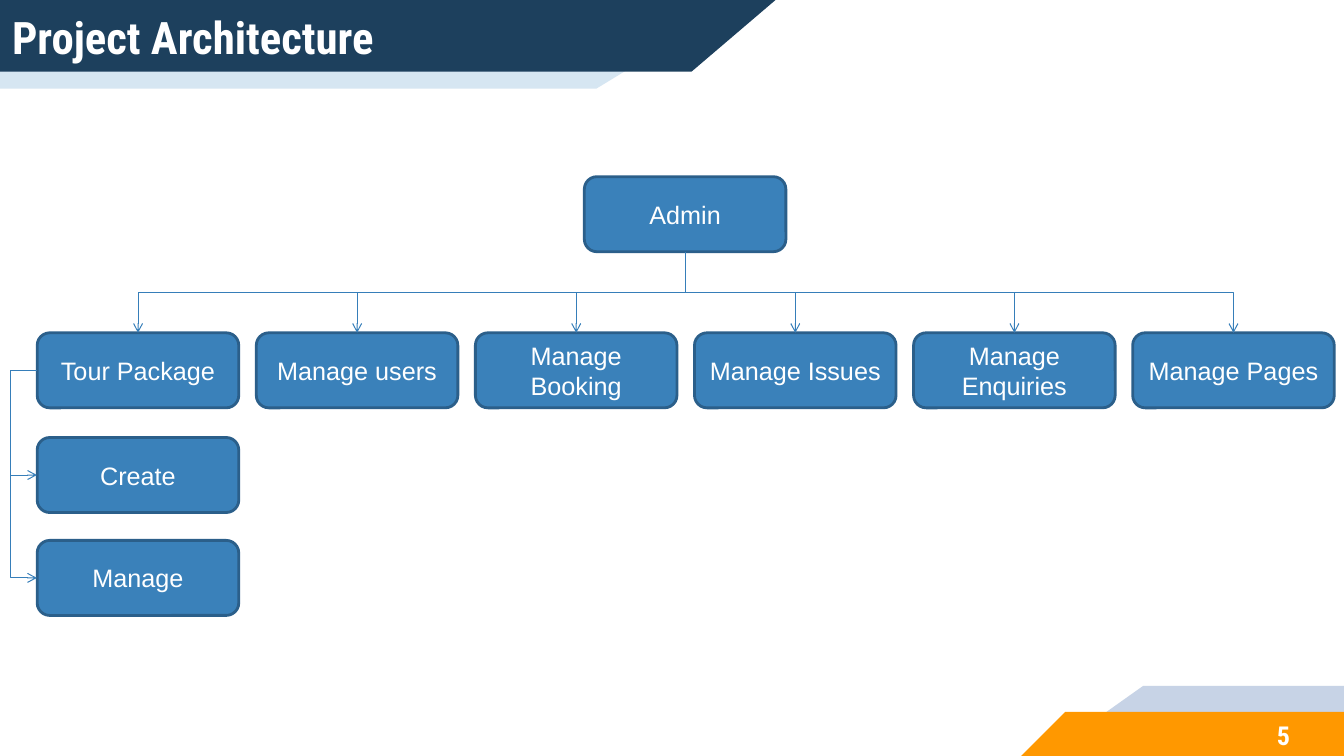
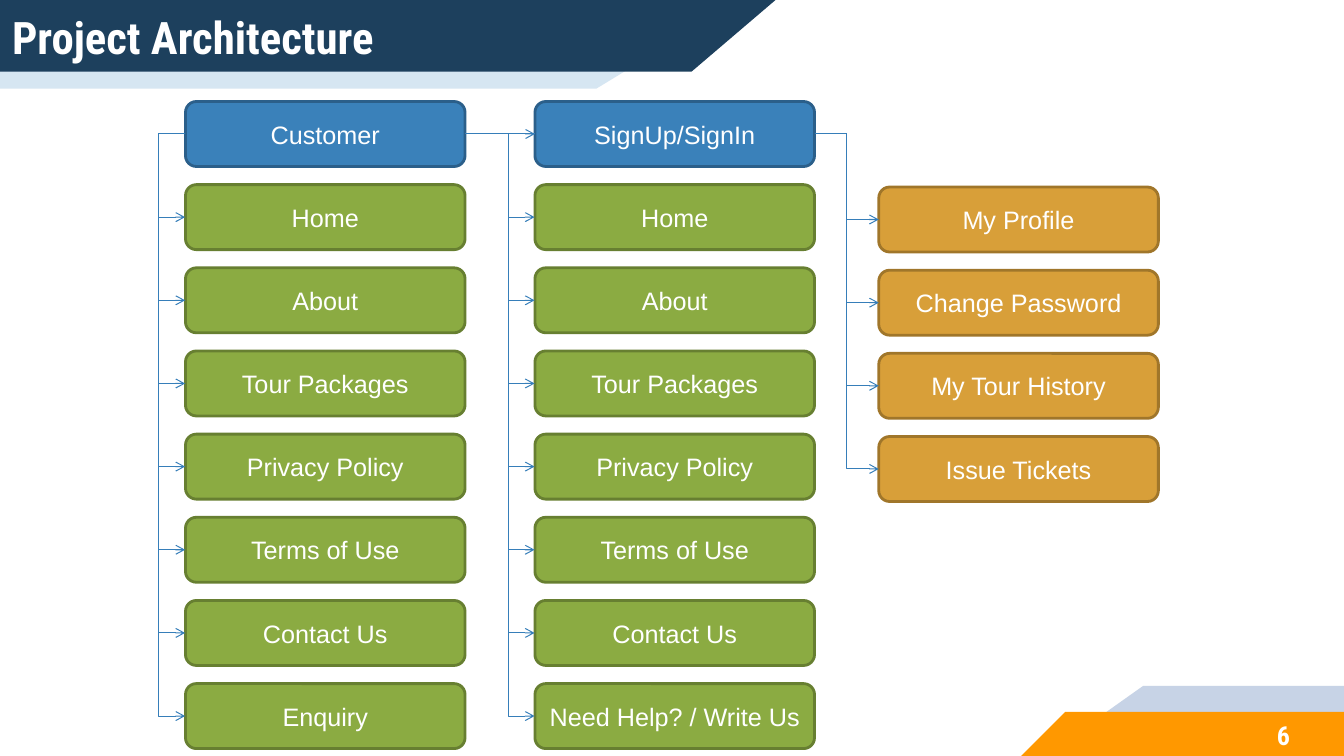
"""Build the two project architecture slides as connected box diagrams."""
from dataclasses import dataclass

from lxml import etree
from pptx import Presentation
from pptx.dml.color import RGBColor
from pptx.enum.shapes import MSO_CONNECTOR, MSO_SHAPE
from pptx.enum.text import MSO_ANCHOR, MSO_AUTO_SIZE, PP_ALIGN
from pptx.oxml.ns import qn
from pptx.shapes.autoshape import Shape
from pptx.shapes.connector import Connector
from pptx.slide import Slide, SlideLayout
from pptx.text.text import TextFrame
from pptx.util import Pt

ROUNDED = MSO_SHAPE.ROUNDED_RECTANGLE
ELBOW, STRAIGHT = MSO_CONNECTOR.ELBOW, MSO_CONNECTOR.STRAIGHT
LEFT, CENTER = PP_ALIGN.LEFT, PP_ALIGN.CENTER
TOP_SIDE, LEFT_SIDE, BOTTOM_SIDE, RIGHT_SIDE = range(4)

COLORS = {
    "white": "FFFFFF", "navy": "1D405D", "pale": "D6E6F2",
    "mist": "C7D3E6", "orange": "FF9800", "link": "367EB9",
    "blue": "3A81BA", "blue_edge": "2B5F8A",
    "green": "8BAB42", "green_edge": "677F31",
    "gold": "D89F39", "gold_edge": "A0762A",
}
HEADING_FONT, BODY_FONT = "Roboto Condensed", "Arial"
SLIDE_WIDTH, SLIDE_HEIGHT = 960, 540
LOOP_REACH, LOOP_STEP = 18.7, 0.25


@dataclass(frozen=True)
class Band:
    color: str
    corners: tuple[tuple[float, float], ...]


@dataclass(frozen=True)
class Box:
    label: str
    left: float
    top: float
    width: float
    height: float
    color: str = "blue"


BANDS = (
    Band("pale", ((0, 0), (530, 0), (426, 63.3), (0, 63.3))),
    Band("navy", ((0, 0), (554, 0), (494, 51.2), (0, 51.2))),
    Band("mist", ((816.5, 490), (960, 490), (960, 540), (746, 540))),
    Band("orange", ((761, 508.5), (960, 508.5), (960, 540), (729.5, 540))),
)


def rgb(name: str) -> RGBColor:
    return RGBColor.from_string(COLORS[name])


def write_text(frame: TextFrame, text: str, *, size: float = 18,
               font: str = BODY_FONT, bold: bool = False,
               align: PP_ALIGN = CENTER,
               margins: tuple[float, float, float, float] = (7.2, 3.6, 7.2, 3.6)) -> None:
    frame.word_wrap = True
    frame.auto_size = MSO_AUTO_SIZE.NONE
    frame.vertical_anchor = MSO_ANCHOR.MIDDLE
    (frame.margin_left, frame.margin_top,
     frame.margin_right, frame.margin_bottom) = map(Pt, margins)
    paragraph = frame.paragraphs[0]
    paragraph.alignment = align
    run = paragraph.add_run()
    run.text = text
    run.font.size = Pt(size)
    run.font.name = font
    run.font.bold = bold
    run.font.color.rgb = rgb("white")


def furnish_layout(layout: SlideLayout, drafting: Slide) -> None:
    for placeholder in list(layout.placeholders):
        if placeholder.placeholder_format.idx >= 10:
            placeholder.element.getparent().remove(placeholder.element)
        else:
            placeholder.left, placeholder.top = Pt(0), Pt(6.5)
            placeholder.width, placeholder.height = Pt(530), Pt(39)
    tree = layout.shapes.title.element.getparent() if hasattr(layout.shapes, "title") \
        else layout.placeholders[0].element.getparent()
    for depth, band in enumerate(BANDS, start=2):
        points = [(Pt(x), Pt(y)) for x, y in band.corners]
        builder = drafting.shapes.build_freeform(*points[0])
        builder.add_line_segments(points[1:], close=True)
        outline = builder.convert_to_shape()
        outline.shadow.inherit = False
        outline.fill.solid()
        outline.fill.fore_color.rgb = rgb(band.color)
        outline.line.fill.background()
        tree.insert(depth, outline.element)


def head_slide(slide: Slide, title: str, number: int) -> None:
    write_text(slide.shapes.title.text_frame, title, size=32, font=HEADING_FONT,
               bold=True, align=LEFT, margins=(8.6, 0, 0, 0))
    page = slide.shapes.add_textbox(Pt(885), Pt(509), Pt(63.4), Pt(32.4))
    write_text(page.text_frame, str(number), size=18.6, font=HEADING_FONT,
               bold=True, margins=(7.2, 7.2, 7.2, 7.2))


def draw_box(slide: Slide, box: Box) -> Shape:
    node = slide.shapes.add_shape(ROUNDED, Pt(box.left), Pt(box.top),
                                  Pt(box.width), Pt(box.height))
    node.shadow.inherit = False
    node.fill.solid()
    node.fill.fore_color.rgb = rgb(box.color)
    node.line.color.rgb = rgb(f"{box.color}_edge")
    node.line.width = Pt(2)
    write_text(node.text_frame, box.label)
    return node


def draw_column(slide: Slide, labels: list[str], left: float, top: float,
                color: str) -> list[Shape]:
    return [draw_box(slide, Box(label, left, top + 59.4 * row, 199.7, 46.4, color))
            for row, label in enumerate(labels)]


def link(slide: Slide, source: Shape, source_side: int, target: Shape,
         target_side: int, kind: MSO_CONNECTOR = ELBOW) -> Connector:
    arrow = slide.shapes.add_connector(kind, 0, 0, 0, 0)
    arrow.begin_connect(source, source_side)
    arrow.end_connect(target, target_side)
    arrow.line.color.rgb = rgb("link")
    arrow.line.width = Pt(0.75)
    properties = arrow.element.spPr
    etree.SubElement(properties.find(qn("a:ln")), qn("a:tailEnd"), type="arrow")
    etree.SubElement(properties, qn("a:effectLst"))
    return arrow


def link_down(slide: Slide, parent: Shape, child: Shape) -> None:
    arrow = link(slide, parent, BOTTOM_SIDE, child, TOP_SIDE)
    across, down = arrow.end_x - arrow.begin_x, arrow.end_y - arrow.begin_y
    middle_x = (arrow.begin_x + arrow.end_x) // 2
    middle_y = (arrow.begin_y + arrow.end_y) // 2
    arrow.begin_x, arrow.end_x = middle_x - down // 2, middle_x + down // 2
    arrow.begin_y, arrow.end_y = middle_y + across // 2, middle_y - across // 2
    arrow.element.spPr.find(qn("a:xfrm")).set("rot", "5400000")


def link_around(slide: Slide, parent: Shape, child: Shape) -> None:
    arrow = link(slide, parent, LEFT_SIDE, child, LEFT_SIDE)
    arrow.end_x = arrow.begin_x - Pt(LOOP_STEP)
    geometry = arrow.element.spPr.find(qn("a:prstGeom"))
    guides = geometry.find(qn("a:avLst"))
    if guides is None:
        guides = etree.SubElement(geometry, qn("a:avLst"))
    bend = round(LOOP_REACH / LOOP_STEP * 100000)
    etree.SubElement(guides, qn("a:gd"), name="adj1", fmla=f"val {bend}")


def draw_admin(slide: Slide) -> None:
    width, height, left, top = 144, 53.6, 26.6, 237.7
    sections = ["Tour Package", "Manage users", "Manage Booking",
                "Manage Issues", "Manage Enquiries", "Manage Pages"]
    managed = [draw_box(slide, Box(label, left + 156.5 * column, top, width, height))
               for column, label in enumerate(sections)]
    admin = draw_box(slide, Box("Admin", 417.4, 126.2, width, height))
    actions = [draw_box(slide, Box(label, left, action_top, width, height))
               for label, action_top in (("Create", 312.5), ("Manage", 386))]
    for section in managed:
        link_down(slide, admin, section)
    for action in actions:
        link_around(slide, managed[0], action)


def draw_customer(slide: Slide) -> None:
    head_top, pages_top = 72.5, 131.9
    visitor_left, member_left, account_left = 132.5, 382.1, 627.7
    pages = ["Home", "About", "Tour Packages", "Privacy Policy",
             "Terms of Use", "Contact Us"]
    customer, = draw_column(slide, ["Customer"], visitor_left, head_top, "blue")
    sign_in, = draw_column(slide, ["SignUp/SignIn"], member_left, head_top, "blue")
    visitor_pages = draw_column(slide, [*pages, "Enquiry"],
                                visitor_left, pages_top, "green")
    member_pages = draw_column(slide, [*pages, "Need Help? / Write Us"],
                               member_left, pages_top, "green")
    account = draw_column(slide, ["My Profile", "Change Password",
                                  "My Tour History", "Issue Tickets"],
                          account_left, 133.6, "gold")
    for parent, children in ((customer, visitor_pages), (sign_in, member_pages)):
        for child in children:
            link_around(slide, parent, child)
    for option in account:
        link(slide, sign_in, RIGHT_SIDE, option, LEFT_SIDE)
    link(slide, customer, RIGHT_SIDE, sign_in, LEFT_SIDE, STRAIGHT)


def main() -> None:
    deck = Presentation()
    deck.slide_width, deck.slide_height = Pt(SLIDE_WIDTH), Pt(SLIDE_HEIGHT)
    layout = deck.slide_layouts[5]
    for number, draw in enumerate((draw_admin, draw_customer), start=5):
        slide = deck.slides.add_slide(layout)
        if number == 5:
            furnish_layout(layout, slide)
        head_slide(slide, "Project Architecture", number)
        draw(slide)
    deck.save("out.pptx")


if __name__ == "__main__":
    main()
